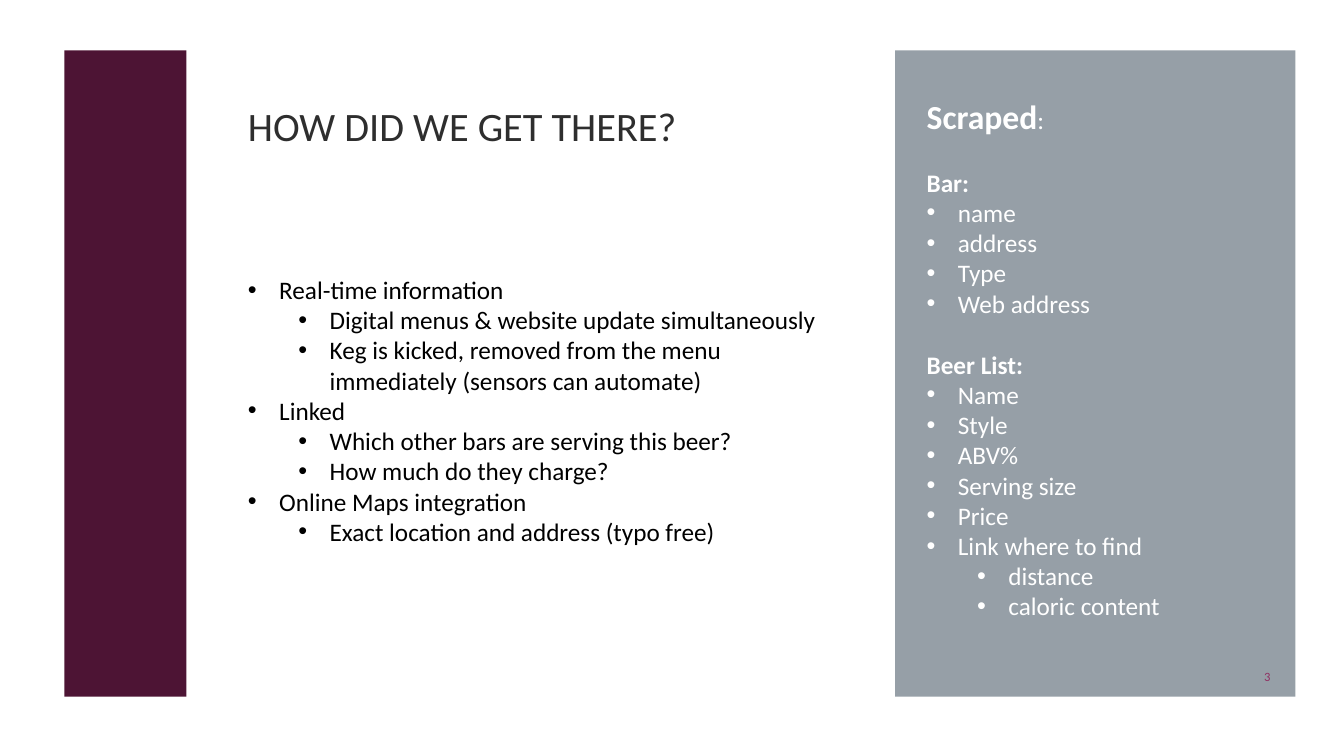
from dataclasses import dataclass

from pptx import Presentation
from pptx.dml.color import RGBColor
from pptx.enum.shapes import MSO_SHAPE as Form
from pptx.enum.text import MSO_ANCHOR as Anchor, MSO_AUTO_SIZE as Fit, PP_ALIGN as Align
from pptx.oxml.ns import qn
from pptx.util import Inches, Pt
from lxml.etree import SubElement

# Slide grid: 100 columns by 100 rows
WIDE, HIGH = Inches(13.33), Inches(7.5)
COL, ROW = WIDE / 100, HIGH / 100
FONT = "Calibri"
SIZE = 18
LINE = 22
HUES = {"paper": "FFFFFF", "panel": "969FA7", "wine": "4D1434",
        "head": "2E2E2E", "ink": "000000", "page": "903163"}


@dataclass
class Area:
    left: float
    top: float
    wide: float
    high: float

    def box(self) -> list[int]:
        return [round(self.left * COL), round(self.top * ROW),
                round(self.wide * COL), round(self.high * ROW)]


@dataclass
class Block:
    area: Area
    hue: str


@dataclass
class Item:
    text: str
    level: int = 0
    bold: bool = False   # a bold item is a heading without a bullet
    size: float = SIZE
    gap: float = 0
    tail: str = ""


BLOCKS = [
    Block(Area(0, 0, 100, 100), "paper"),
    Block(Area(66.6, 6.67, 29.78, 85.47), "panel"),
    Block(Area(4.8, 6.67, 9.08, 85.47), "wine"),
]

GOALS = [
    Item("Real-time information"),
    Item("Digital menus & website update simultaneously", 1),
    Item("Keg is kicked, removed from the menu immediately (sensors can automate)", 1),
    Item("Linked"),
    Item("Which other bars are serving this beer?", 1),
    Item("How much do they charge?", 1),
    Item("Online Maps integration"),
    Item("Exact location and address (typo free)", 1),
]

FIELDS = [
    Item("Scraped", bold=True, size=24, tail=":"),
    Item("Bar:", bold=True, gap=LINE),
    *map(Item, ["name", "address", "Type", "Web address"]),
    Item("Beer List:", bold=True, gap=LINE),
    *map(Item, ["Name", "Style", "ABV%", "Serving size", "Price", "Link where to find"]),
    Item("distance", 1),
    Item("caloric content", 1),
]


def place(shape, area: Area) -> None:
    shape.left, shape.top, shape.width, shape.height = area.box()


def write(para, text: str, hue: str, size: float, bold: bool = False) -> None:
    run = para.add_run()
    run.text = text
    look = {"name": FONT, "size": Pt(size), "bold": bold}
    for key, value in look.items():
        setattr(run.font, key, value)
    run.font.color.rgb = RGBColor.from_string(HUES[hue])


def indent(para, item: Item) -> None:
    props = para._p.get_or_add_pPr()
    if item.bold:
        props.set("marL", "0")
        props.set("indent", "0")
        SubElement(props, qn("a:buNone"))
        return
    props.set("marL", str(Inches(0.31 + 0.5 * item.level)))
    props.set("indent", str(-Inches(0.31)))
    SubElement(props, qn("a:buFont")).set("typeface", "Arial")
    SubElement(props, qn("a:buChar")).set("char", "•")


def draw_block(slide, block: Block) -> None:
    shape = slide.shapes.add_shape(Form.RECTANGLE, *block.area.box())
    shape.shadow.inherit = False
    shape.fill.solid()
    shape.fill.fore_color.rgb = RGBColor.from_string(HUES[block.hue])
    shape.line.fill.background()


def set_frame(shape, anchor: Anchor):
    frame = shape.text_frame
    look = {"word_wrap": True, "auto_size": Fit.NONE, "vertical_anchor": anchor}
    for key, value in look.items():
        setattr(frame, key, value)
    return frame


def draw_line(shape, area: Area, text: str, hue: str, size: float, align: Align) -> None:
    place(shape, area)
    para = set_frame(shape, Anchor.MIDDLE).paragraphs[0]
    para.alignment = align
    write(para, text, hue, size)


def draw_list(shape, area: Area, items: list[Item], hue: str) -> None:
    place(shape, area)
    frame = set_frame(shape, Anchor.TOP)
    for spot, item in enumerate(items):
        para = frame.add_paragraph() if spot else frame.paragraphs[0]
        para.level = item.level
        indent(para, item)
        para.space_before = Pt(item.gap)
        write(para, item.text, hue, item.size, item.bold)
        if item.tail:
            write(para, item.tail, hue, SIZE)


def main() -> None:
    deck = Presentation()
    deck.slide_width, deck.slide_height = WIDE, HIGH
    slide = deck.slides.add_slide(deck.slide_layouts[3])
    title, goals, fields = slide.placeholders

    # Panels, with the placeholders lifted above them
    for block in BLOCKS:
        draw_block(slide, block)
    for holder in (title, goals, fields):
        slide.shapes._spTree.append(holder._element)

    # Title and lists
    draw_line(title, Area(17.7, 12.8, 43.2, 7.47), "HOW DID WE GET THERE?",
              "head", 28.8, Align.LEFT)
    draw_list(goals, Area(17.7, 35.6, 44.33, 41.73), GOALS, "ink")
    draw_list(fields, Area(68.2, 12, 23.1, 75.33), FIELDS, "paper")

    # Page number
    area = Area(86.65, 86.8, 8.63, 5.33)
    page = slide.shapes.add_textbox(*area.box())
    draw_line(page, area, "3", "page", 9, Align.RIGHT)

    deck.save("out.pptx")


if __name__ == "__main__":
    main()
